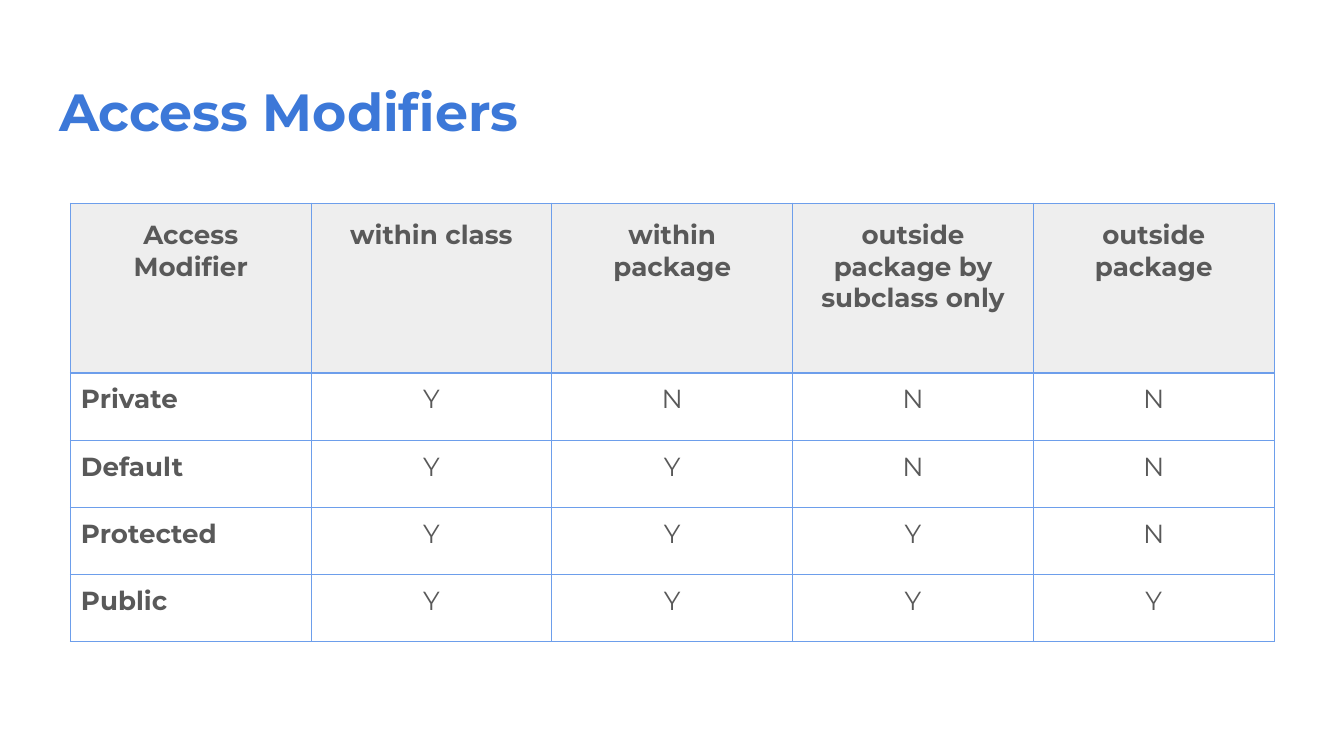
"""Build a slide with a table of access modifiers and their visibility."""
from lxml import etree
from pptx import Presentation
from pptx import util as u
from pptx.dml.color import RGBColor
from pptx.enum import text
from pptx.oxml import ns

TITLE_BLUE = RGBColor(0x3C, 0x78, 0xD8)
BORDER_BLUE = RGBColor(0x6D, 0x9E, 0xEB)
TEXT_GRAY = RGBColor(0x59, 0x59, 0x59)
HEADER_GRAY = RGBColor(0xEE, 0xEE, 0xEE)
WHITE = RGBColor(0xFF, 0xFF, 0xFF)

ACCESS = [
    ("Access Modifier", "within class", "within package",
     "outside package by subclass only", "outside package"),
    ("Private", "Y", "N", "N", "N"),
    ("Default", "Y", "Y", "N", "N"),
    ("Protected", "Y", "Y", "Y", "N"),
    ("Public", "Y", "Y", "Y", "Y"),
]
COLUMN_WIDTH = u.Cm(4.55)
ROW_HEIGHTS = [u.Cm(3.21)] + [u.Cm(1.27)] * 4


def add_run(paragraph, words, size, color, bold):
    run = paragraph.add_run()
    run.text = words
    run.font.name = "Montserrat"
    run.font.size = u.Pt(size)
    run.font.bold = bold
    run.font.color.rgb = color


def add_borders(cell):
    properties = cell._tc.get_or_add_tcPr()
    for side in ("a:lnL", "a:lnR", "a:lnT", "a:lnB"):
        line = etree.SubElement(properties, ns.qn(side), w=str(u.Pt(0.75)))
        fill = etree.SubElement(line, ns.qn("a:solidFill"))
        etree.SubElement(fill, ns.qn("a:srgbClr"), val=str(BORDER_BLUE))


deck = Presentation()
deck.slide_width = u.Cm(25.4)
deck.slide_height = u.Cm(14.29)
slide = deck.slides.add_slide(deck.slide_layouts[6])

heading = slide.shapes.add_textbox(u.Cm(0.87), u.Cm(1.25), u.Cm(23.67), u.Cm(1.6)).text_frame
heading.word_wrap = True
heading.margin_left = heading.margin_right = u.Cm(0.25)
heading.margin_top = heading.margin_bottom = u.Cm(0.25)
add_run(heading.paragraphs[0], "Access Modifiers", 28, TITLE_BLUE, True)

modifiers = slide.shapes.add_table(
    len(ACCESS), len(ACCESS[0]), u.Cm(1.33), u.Cm(3.84),
    COLUMN_WIDTH * len(ACCESS[0]), sum(ROW_HEIGHTS)).table
modifiers.horz_banding = False
for column in modifiers.columns:
    column.width = COLUMN_WIDTH

for r, (entries, height) in enumerate(zip(ACCESS, ROW_HEIGHTS)):
    modifiers.rows[r].height = height
    is_header = r == 0
    margin = u.Cm(0.3) if is_header else u.Cm(0.2)
    for c, entry in enumerate(entries):
        is_label = c == 0
        cell = modifiers.cell(r, c)
        cell.margin_left = cell.margin_right = margin
        cell.margin_top = cell.margin_bottom = margin
        add_borders(cell)
        cell.fill.solid()
        cell.fill.fore_color.rgb = HEADER_GRAY if is_header else WHITE
        line = cell.text_frame.paragraphs[0]
        left = is_label and not is_header
        line.alignment = text.PP_ALIGN.LEFT if left else text.PP_ALIGN.CENTER
        add_run(line, entry, 14, TEXT_GRAY, is_header or is_label)

deck.save("out.pptx")
